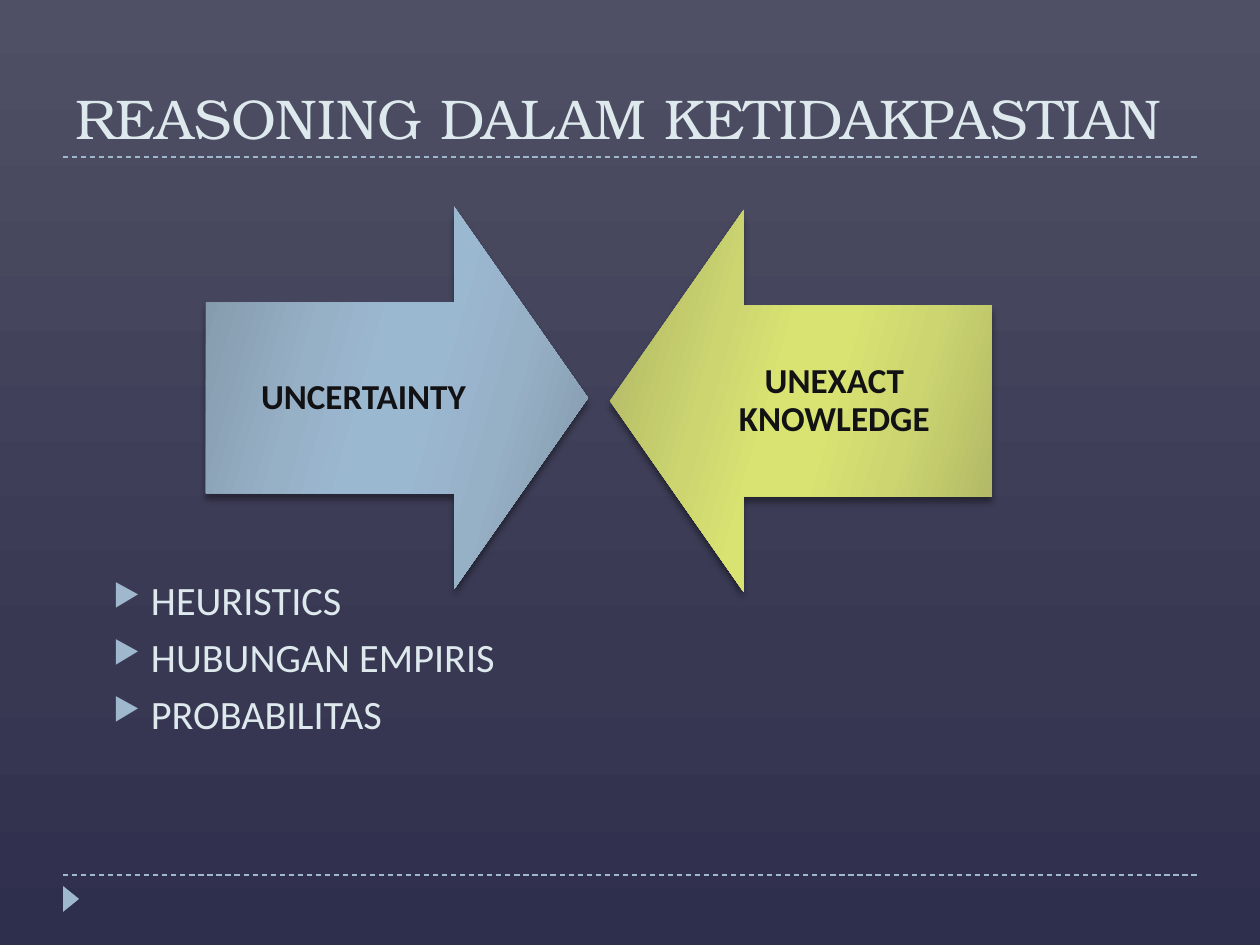
from lxml import etree
from pptx import Presentation, util as u
from pptx.dml.color import RGBColor
from pptx.enum import dml, shapes, text
from pptx.oxml import ns

PX = 914400 // 126


def rgb(value):
    return RGBColor.from_string(value)


def set_gradient(fill, root, stops, angle):
    """Give a fill several (position %, colour) stops and a clockwise angle."""
    fill.gradient()
    grad = next(root.iter(ns.qn("a:gradFill")))
    stop_list = grad.find(ns.qn("a:gsLst"))
    for old in list(stop_list):
        stop_list.remove(old)
    for pos, colour in stops:
        gs = etree.SubElement(stop_list, ns.qn("a:gs"), pos=str(pos * 1000))
        etree.SubElement(gs, ns.qn("a:srgbClr"), val=colour)
    grad.find(ns.qn("a:lin")).set("ang", str(angle * 60000))


prs = Presentation()
prs.slide_width, prs.slide_height = 1260 * PX, 945 * PX
s = prs.slides.add_slide(prs.slide_layouts[6])

# Background
set_gradient(s.background.fill, s._element,
             [(0, "2E2E4D"), (30, "383853"), (100, "4F4F65")], 270)

# Dashed rules
for y in (875, 157):
    line = s.shapes.add_connector(shapes.MSO_CONNECTOR.STRAIGHT,
                                  63 * PX, y * PX, 1197 * PX, y * PX)
    line.line.color.rgb = rgb("9FB8CD")
    line.line.width = u.Pt(0.75)
    line.line.dash_style = dml.MSO_LINE.DASH
    etree.SubElement(line._element.spPr, ns.qn("a:effectLst"))

# Corner marker
sp = s.shapes.add_shape(shapes.MSO_SHAPE.ISOSCELES_TRIANGLE,
                        58 * PX, 891 * PX, 26 * PX, 16 * PX)
sp.rotation = 90
sp.shadow.inherit = False
sp.fill.solid()
sp.fill.fore_color.rgb = rgb("9FB8CD")
sp.line.fill.background()

# Title
tf = s.shapes.add_textbox(63 * PX, 21 * PX, 1134 * PX, 136 * PX).text_frame
tf.word_wrap = True
tf.vertical_anchor = text.MSO_ANCHOR.BOTTOM
tf.text = "REASONING DALAM KETIDAKPASTIAN"
font = tf.paragraphs[0].runs[0].font
font.name, font.size = "TeX Gyre Bonum", u.Pt(32)
font.color.rgb = rgb("DDE9EC")

# Bullet list
tf = s.shapes.add_textbox(63 * PX, 569 * PX, 1134 * PX, 279 * PX).text_frame
tf.word_wrap = True
tf.text = "HEURISTICS\nHUBUNGAN EMPIRIS\nPROBABILITAS"
for p in tf.paragraphs:
    p.space_before = u.Pt(5)
    font = p.runs[0].font
    font.name, font.size = "Calibri", u.Pt(23)
    font.color.rgb = rgb("DDE9EC")
    pPr = p._p.get_or_add_pPr()
    pPr.set("marL", str(u.Inches(0.6)))
    pPr.set("indent", str(u.Inches(-0.3)))
    colour = etree.SubElement(pPr, ns.qn("a:buClr"))
    etree.SubElement(colour, ns.qn("a:srgbClr"), val="9FB8CD")
    etree.SubElement(pPr, ns.qn("a:buSzPct"), val="76000")
    etree.SubElement(pPr, ns.qn("a:buChar"), char="▶")

# Facing arrows: shape, left, top, label, edge, middle and centre colours
arrows = [
    (shapes.MSO_SHAPE.RIGHT_ARROW, 206, 207, "UNCERTAINTY",
     "8297A8", "96B0C6", "9BB8D1"),
    (shapes.MSO_SHAPE.LEFT_ARROW, 610, 210, "UNEXACT KNOWLEDGE",
     "ACB264", "CCD570", "D9E371"),
]
for kind, x, y, label, edge, middle, centre in arrows:
    sp = s.shapes.add_shape(kind, x * PX, y * PX, 382 * PX, 382 * PX)
    sp.adjustments[0], sp.adjustments[1] = 0.5, 0.35
    set_gradient(sp.fill, sp._element,
                 [(0, edge), (30, middle), (45, centre),
                  (55, centre), (73, middle), (100, edge)], 16)
    sp.line.fill.background()

    # Soft shadow below
    sp.shadow.inherit = False
    effects = sp._element.spPr.find(ns.qn("a:effectLst"))
    shadow = etree.SubElement(effects, ns.qn("a:outerShdw"),
                              blurRad=str(u.Pt(4)), dist=str(u.Pt(3.4)),
                              dir="5400000", algn="ctr", rotWithShape="0")
    black = etree.SubElement(shadow, ns.qn("a:srgbClr"), val="000000")
    etree.SubElement(black, ns.qn("a:alpha"), val="40000")

    # Label
    tf = sp.text_frame
    tf.word_wrap = True
    tf.vertical_anchor = text.MSO_ANCHOR.MIDDLE
    tf.margin_left = tf.margin_right = 20 * PX
    tf.margin_top = tf.margin_bottom = 20 * PX
    tf.text = label
    p = tf.paragraphs[0]
    p.alignment = text.PP_ALIGN.CENTER
    p.line_spacing = 0.9
    font = p.runs[0].font
    font.name, font.size, font.bold = "Calibri", u.Pt(20), True
    font.color.rgb = rgb("121215")

prs.save("out.pptx")
